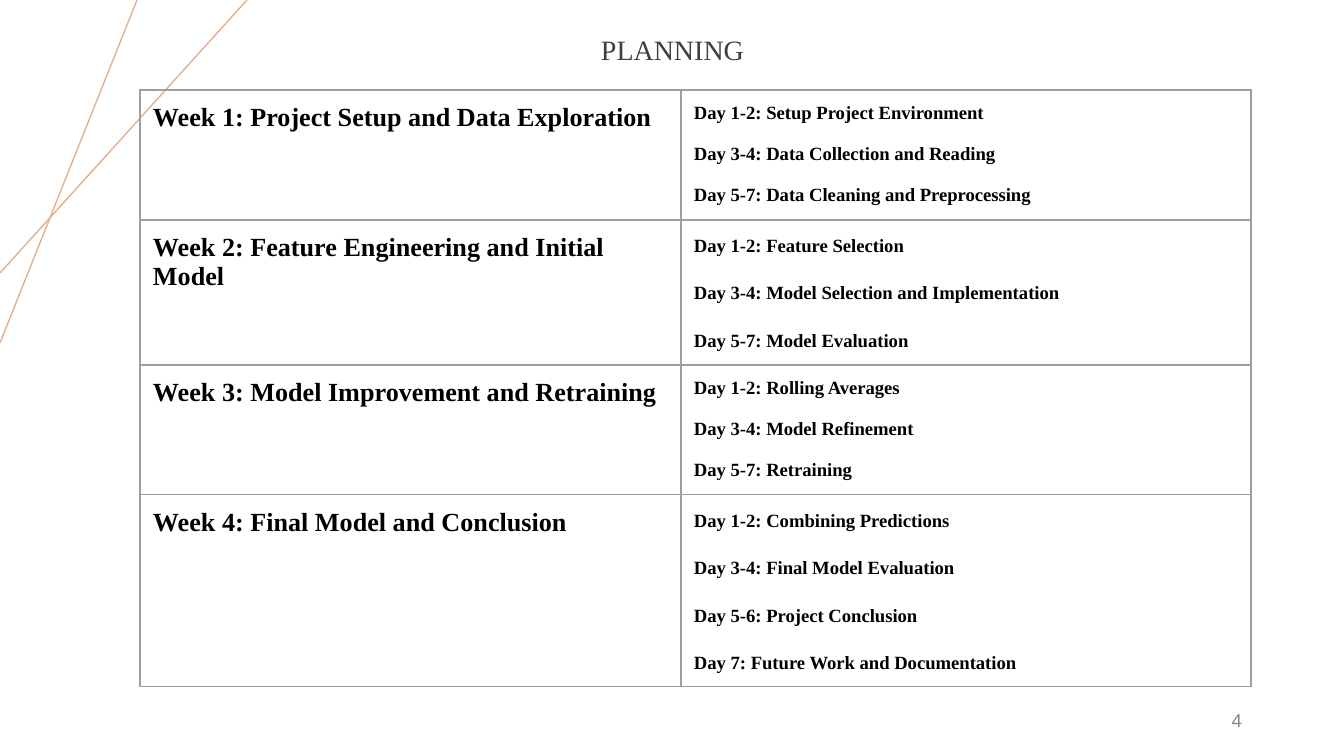
"""Build the four-week project planning slide."""
import dataclasses
import typing

import lxml.etree
import pptx
import pptx.dml.color
import pptx.enum.shapes
import pptx.enum.text
import pptx.oxml.ns
import pptx.util

ALIGN = pptx.enum.text.PP_ALIGN
MIDDLE = pptx.enum.text.MSO_ANCHOR.MIDDLE
qn = pptx.oxml.ns.qn


@dataclasses.dataclass(frozen=True)
class Style:
    font: str
    size: int
    color: str
    bold: bool = False


@dataclasses.dataclass(frozen=True)
class Theme:
    title: Style = Style("Times New Roman", 15, "3F3F3F")
    week: Style = Style("Times New Roman", 14, "000000", True)
    day: Style = Style("Times New Roman", 10, "000000", True)
    number: Style = Style("Arial", 10, "888888")
    accent: str = "E2B08C"
    border: str = "9E9E9E"
    line_pt: float = 0.75


class Box(typing.NamedTuple):
    left: int
    top: int
    width: int
    height: int


class Line(typing.NamedTuple):
    x1: int
    y1: int
    x2: int
    y2: int


@dataclasses.dataclass(frozen=True)
class Week:
    heading: str
    days: tuple[str, ...]
    height: int
    spacing: float
    gap_pt: float


THEME = Theme()
SLIDE_W, SLIDE_H = 1344, 756
COLUMNS = (541, 570)
CELL_PAD = 13
TITLE_BOX = Box(208, 13, 929, 77)
NUMBER_BOX = Box(949, 700, 302, 40)
TABLE_LEFT, TABLE_TOP = 140, 90
ACCENT_LINES = (Line(137, 0, 0, 343), Line(247, 0, 0, 273))
WEEKS = (
    Week("Week 1: Project Setup and Data Exploration",
         ("Day 1-2: Setup Project Environment",
          "Day 3-4: Data Collection and Reading",
          "Day 5-7: Data Cleaning and Preprocessing"), 130, 1.0, 11),
    Week("Week 2: Feature Engineering and Initial Model",
         ("Day 1-2: Feature Selection",
          "Day 3-4: Model Selection and Implementation",
          "Day 5-7: Model Evaluation"), 145, 1.15, 12.7),
    Week("Week 3: Model Improvement and Retraining",
         ("Day 1-2: Rolling Averages",
          "Day 3-4: Model Refinement",
          "Day 5-7: Retraining"), 130, 1.0, 11),
    Week("Week 4: Final Model and Conclusion",
         ("Day 1-2: Combining Predictions",
          "Day 3-4: Final Model Evaluation",
          "Day 5-6: Project Conclusion",
          "Day 7: Future Work and Documentation"), 192, 1.15, 12.7),
)


def px(n: int) -> pptx.util.Emu:
    """Turn pixels into EMU."""
    return pptx.util.Emu(round(n * 914400 / 134.4))


def rgb(color: str) -> pptx.dml.color.RGBColor:
    """Turn a hex string into a colour."""
    return pptx.dml.color.RGBColor.from_string(color)


def write(tf, lines: typing.Sequence[str], style: Style, align,
          spacing: float = 1.0, gap_pt: float = 0) -> None:
    """Write one formatted paragraph per line."""
    tf.text = "\n".join(lines)
    for i, p in enumerate(tf.paragraphs):
        p.alignment = align
        p.line_spacing = spacing
        p.space_before = pptx.util.Pt(gap_pt if i else 0)
        for r in p.runs:
            r.font.name = style.font
            r.font.size = pptx.util.Pt(style.size)
            r.font.bold = style.bold
            r.font.color.rgb = rgb(style.color)


def set_frame(sp, box: Box) -> None:
    """Place a text shape and set its margins and anchor."""
    sp.left, sp.top, sp.width, sp.height = map(px, box)
    tf = sp.text_frame
    tf.word_wrap = True
    tf.auto_size = pptx.enum.text.MSO_AUTO_SIZE.NONE
    tf.vertical_anchor = MIDDLE
    tf.margin_left = tf.margin_right = px(9)
    tf.margin_top = tf.margin_bottom = px(5)


def add_line(s, line: Line) -> None:
    """Draw one accent line."""
    c = s.shapes.add_connector(
        pptx.enum.shapes.MSO_CONNECTOR.STRAIGHT, *map(px, line))
    c.line.color.rgb = rgb(THEME.accent)
    c.line.width = pptx.util.Pt(THEME.line_pt)
    lxml.etree.SubElement(c._element.spPr, qn("a:effectLst"))


def format_cell(cell) -> None:
    """Give a cell no fill, even margins and four borders."""
    cell.fill.background()
    cell.margin_left = cell.margin_right = px(CELL_PAD)
    cell.margin_top = cell.margin_bottom = px(CELL_PAD)
    tc_pr = cell._tc.get_or_add_tcPr()
    for i, side in enumerate(("lnL", "lnR", "lnT", "lnB")):
        ln = lxml.etree.Element(
            qn(f"a:{side}"), w=str(pptx.util.Pt(THEME.line_pt)))
        fill = lxml.etree.SubElement(ln, qn("a:solidFill"))
        lxml.etree.SubElement(fill, qn("a:srgbClr"), val=THEME.border)
        tc_pr.insert(i, ln)


def add_plan(s, weeks: typing.Sequence[Week]) -> None:
    """Draw the table with one row per week."""
    table = s.shapes.add_table(
        len(weeks), len(COLUMNS), px(TABLE_LEFT), px(TABLE_TOP),
        px(sum(COLUMNS)), px(sum(w.height for w in weeks))).table
    table.first_row = table.horz_banding = False
    for col, width in zip(table.columns, COLUMNS):
        col.width = px(width)
    for row, week in zip(table.rows, weeks):
        row.height = px(week.height)
        heading, days = row.cells
        format_cell(heading)
        format_cell(days)
        write(heading.text_frame, [week.heading], THEME.week, ALIGN.LEFT)
        write(days.text_frame, week.days, THEME.day, ALIGN.JUSTIFY,
              week.spacing, week.gap_pt)


def main() -> None:
    """Build and save the slide."""
    prs = pptx.Presentation()
    prs.slide_width, prs.slide_height = px(SLIDE_W), px(SLIDE_H)
    s = prs.slides.add_slide(prs.slide_layouts.get_by_name("Title Only"))
    for line in ACCENT_LINES:
        add_line(s, line)
    title = s.shapes.title
    set_frame(title, TITLE_BOX)
    write(title.text_frame, ["PLANNING"], THEME.title, ALIGN.CENTER, 0.9)
    number = s.shapes.add_textbox(*map(px, NUMBER_BOX))
    set_frame(number, NUMBER_BOX)
    write(number.text_frame, ["4"], THEME.number, ALIGN.RIGHT)
    add_plan(s, WEEKS)
    prs.save("out.pptx")


if __name__ == "__main__":
    main()
